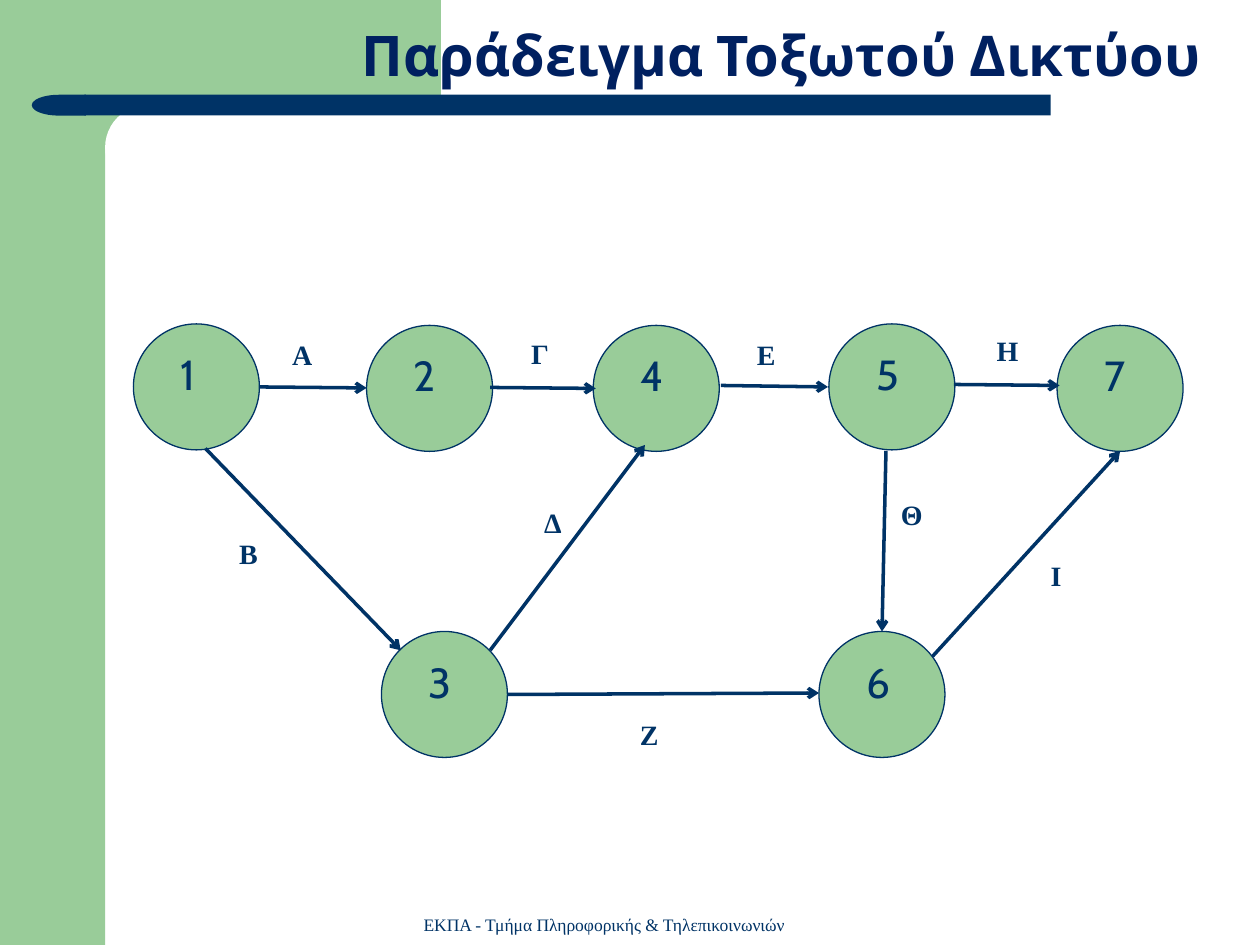
from lxml import etree
from pptx import Presentation
from pptx.dml.color import RGBColor
from pptx.enum.shapes import MSO_CONNECTOR, MSO_SHAPE
from pptx.enum.text import MSO_ANCHOR, PP_ALIGN
from pptx.oxml.ns import qn
from pptx.util import Cm, Pt

GREEN = RGBColor(0x99, 0xCC, 0x99)
NAVY = RGBColor(0x00, 0x33, 0x66)
TITLE_NAVY = RGBColor(0x00, 0x20, 0x60)
WHITE = RGBColor(0xFF, 0xFF, 0xFF)

RECTANGLE = MSO_SHAPE.RECTANGLE
ROUNDED = MSO_SHAPE.ROUNDED_RECTANGLE
DELAY = MSO_SHAPE.FLOWCHART_DELAY
OVAL = MSO_SHAPE.OVAL
STRAIGHT = MSO_CONNECTOR.STRAIGHT
TOP, BOTTOM = MSO_ANCHOR.TOP, MSO_ANCHOR.BOTTOM
LEFT, CENTER, RIGHT = PP_ALIGN.LEFT, PP_ALIGN.CENTER, PP_ALIGN.RIGHT

SANS, SERIF = "Cabin", "Times New Roman"
SLIDE_WIDTH, SLIDE_HEIGHT = 25.4, 19.05
DIAMETER = 2.54
LABEL_HEIGHT = 0.94

EVENTS = {
    "1": (0, 0),
    "2": (4.7, 0.03),
    "3": (5, 6.2),
    "6": (13.82, 6.2),
    "4": (9.27, 0.03),
    "5": (14.02, 0),
    "7": (18.62, 0.03),
}

# name: (arrow start, arrow end, label corner, label width)
ACTIVITIES = {
    "Α": ((2.54, 1.27), (4.7, 1.29), (2.95, 0.15), 1.98),
    "Γ": ((7.19, 1.28), (9.32, 1.3), (7.77, 0.12), 2.18),
    "Ε": ((11.84, 1.24), (14, 1.27), (12.32, 0.15), 2.39),
    "Η": ((16.54, 1.22), (18.67, 1.24), (17.15, 0.07), 2.18),
    "Β": ((1.45, 2.51), (5.39, 6.58), (1.88, 4.16), 1.98),
    "Δ": ((7.19, 6.58), (10.31, 2.44), (8.03, 3.53), 1.4),
    "Ζ": ((7.55, 7.47), (13.82, 7.44), (9.96, 7.82), 2.18),
    "Θ": ((15.17, 2.56), (15.09, 6.2), (15.22, 3.38), 1.57),
    "Ι": ((16.11, 6.7), (19.89, 2.56), (18.24, 4.6), 1.57),
}


def add_filled(slide, preset, left, top, width, height, color):
    """Add a preset shape with a plain fill and no outline."""
    shape = slide.shapes.add_shape(preset, Cm(left), Cm(top), Cm(width), Cm(height))
    shape.shadow.inherit = False
    shape.fill.solid()
    shape.fill.fore_color.rgb = color
    shape.line.fill.background()
    return shape


def write(shape, text, font_name, size, color, bold=False, align=LEFT, anchor=TOP):
    """Write one run into a shape and return its text frame."""
    frame = shape.text_frame
    frame.word_wrap = True
    frame.vertical_anchor = anchor
    paragraph = frame.paragraphs[0]
    paragraph.alignment = align
    run = paragraph.add_run()
    run.text = text
    run.font.name = font_name
    run.font.size = Pt(size)
    run.font.bold = bold
    run.font.color.rgb = color
    return frame


def add_text(slide, left, top, width, height, *words, **style):
    """Add a text box holding one run."""
    box = slide.shapes.add_textbox(Cm(left), Cm(top), Cm(width), Cm(height))
    return write(box, *words, **style)


def add_backdrop(slide, left, top, width, height):
    """Draw the green side and corner, the rounded page and the title bar."""
    add_filled(slide, RECTANGLE, left, top, 2.12, height, GREEN)
    add_filled(slide, RECTANGLE, left + 1.9, top, 6.99, 2.96, GREEN)
    page = add_filled(slide, ROUNDED, left + 2.12, top + 2.12, 14.18, 1.7, WHITE)
    page.adjustments[0] = 0.5
    add_filled(slide, RECTANGLE, left + 1.7, top + 1.91, width - 5.92, 0.42, NAVY)
    bar_end = add_filled(slide, DELAY, left + 0.64, top + 1.91, 1.09, 0.42, NAVY)
    bar_end.rotation = 180


def add_title(slide, left, top, width, height):
    """Place the right-aligned slide title."""
    frame = add_text(slide, left, top, width, height, "Παράδειγμα Τοξωτού Δικτύου",
                     SANS, 32, TITLE_NAVY, bold=True, align=RIGHT, anchor=BOTTOM)
    frame.margin_right = Cm(0.55)
    frame.paragraphs[0].line_spacing = 0.9


def add_footer(slide, left, top, width, height):
    """Place the centred department name."""
    add_text(slide, left, top, width, height,
             "ΕΚΠΑ - Τμήμα Πληροφορικής & Τηλεπικοινωνιών",
             SERIF, 10, NAVY, align=CENTER, anchor=BOTTOM)


def add_event(slide, left, top, number):
    """Draw one numbered event circle."""
    circle = add_filled(slide, OVAL, left, top, DIAMETER, DIAMETER, GREEN)
    circle.line.color.rgb = NAVY
    circle.line.width = Pt(0.75)
    frame = write(circle, number, SANS, 24, NAVY)
    frame.margin_left = Cm(0.58)


def add_arrow(slide, start_x, start_y, end_x, end_y):
    """Draw one activity arrow with an open head."""
    arrow = slide.shapes.add_connector(
        STRAIGHT, Cm(start_x), Cm(start_y), Cm(end_x), Cm(end_y))
    arrow.line.color.rgb = NAVY
    arrow.line.width = Pt(2)
    etree.SubElement(arrow.line._get_or_add_ln(), qn("a:tailEnd"), type="arrow")
    etree.SubElement(arrow._element.spPr, qn("a:effectLst"))


def add_network(slide, left, top):
    """Draw the events, then the activity arrows with their letters."""
    for number, (x, y) in EVENTS.items():
        add_event(slide, left + x, top + y, number)
    for (start_x, start_y), (end_x, end_y), _, _ in ACTIVITIES.values():
        add_arrow(slide, left + start_x, top + start_y, left + end_x, top + end_y)
    for letter, (_, _, (x, y), width) in ACTIVITIES.items():
        add_text(slide, left + x, top + y, width, LABEL_HEIGHT,
                 letter, SERIF, 16, NAVY, bold=True)


def main():
    """Build and save the slide."""
    deck = Presentation()
    deck.slide_width, deck.slide_height = Cm(SLIDE_WIDTH), Cm(SLIDE_HEIGHT)
    slide = deck.slides.add_slide(deck.slide_layouts[6])
    add_backdrop(slide, 0, 0, SLIDE_WIDTH, SLIDE_HEIGHT)
    add_title(slide, 0.84, 0.64, 23.93, 1.27)
    add_footer(slide, 8.15, 18.29, 8.05, 0.69)
    add_network(slide, 2.69, 6.53)
    deck.save("out.pptx")


if __name__ == "__main__":
    main()
